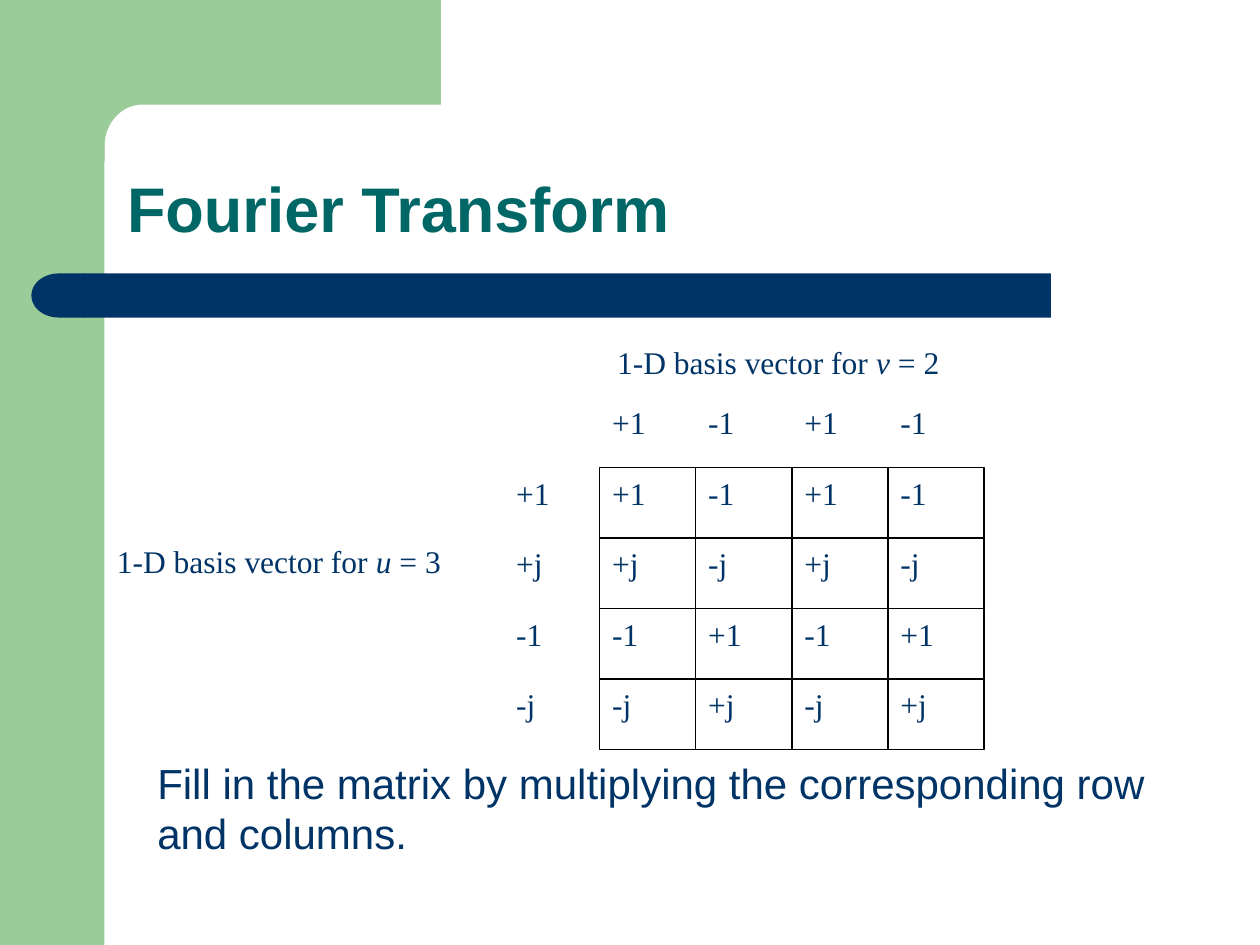
from math import cos, pi, sin

from pptx import Presentation
from pptx.dml.color import RGBColor
from pptx.enum.shapes import MSO_SHAPE as Shape
from pptx.enum.text import MSO_ANCHOR as Anchor, PP_ALIGN as Align
from pptx.util import Inches, Pt

COLORS = {"green": "99CC99", "navy": "003366", "teal": "006666", "black": "000000"}
SERIF, SANS = "Times New Roman", "Arial"
POWERS = ["+1", "+j", "-1", "-j"]  # j to the power 0, 1, 2, 3
ROWS = [0, 1, 2, 3]  # exponents of the basis vector for u = 3
COLS = [0, 2, 0, 2]  # exponents of the basis vector for v = 2


def color(name):
    return RGBColor.from_string(COLORS[name])


def paint(shape, name):
    shape.shadow.inherit = False
    shape.fill.solid()
    shape.fill.fore_color.rgb = color(name)
    shape.line.fill.background()
    return shape


def add_block(slide, kind, box, name):
    return paint(slide.shapes.add_shape(kind, *map(Inches, box)), name)


def write(shape, lines, size=18, face=SERIF, tint="navy", anchor=Anchor.TOP):
    """Set the lines, each a list of runs; every second run is italic."""
    frame = shape.text_frame
    frame.word_wrap = True
    frame.vertical_anchor = anchor
    for i, parts in enumerate(lines):
        para = frame.paragraphs[0] if i == 0 else frame.add_paragraph()
        para.alignment = Align.LEFT
        for k, part in enumerate(parts):
            run = para.add_run()
            run.text = part
            font = run.font
            font.size, font.name = Pt(size), face
            font.color.rgb = color(tint)
            font.italic = k % 2 == 1
    return frame


def add_text(slide, box, lines, **style):
    return write(slide.shapes.add_textbox(*map(Inches, box)), lines, **style)


def add_corner(slide, box):
    """Draw the top band, with a rounded inner corner at its lower left."""
    left, top, width, height = box
    right, low = left + width, top + height
    edge, base = left + 0.33, top + 0.83
    rx, ry, steps = 0.3, 0.33, 16
    turns = [pi / 2 * i / steps for i in range(steps + 1)]
    arc = [(edge + rx - rx * sin(t), base + ry - ry * cos(t)) for t in turns]
    points = [(right, base), *arc, (edge, low), (left, low), (left, top)]
    pen = slide.shapes.build_freeform(Inches(right), Inches(top))
    pen.add_line_segments([(Inches(x), Inches(y)) for x, y in points])
    paint(pen.convert_to_shape(), "green")


def add_bar(slide, box):
    left, top, width, height = box
    cap = 0.42
    body = (left + cap, top, width - cap, height)
    bar = add_block(slide, Shape.ROUNDED_RECTANGLE, body, "navy")
    bar.adjustments[0] = 0
    end = add_block(slide, Shape.FLOWCHART_DELAY, (left, top, 0.43, height), "navy")
    end._element.spPr.xfrm.set("flipH", "1")


def add_matrix(slide, box):
    """Place the products in a grid, with its row and column vectors outside."""
    left, top, width, height = box
    wide, high = width / len(COLS), height / len(ROWS)

    def spot(row, col):
        return left + col * wide, top + row * high, wide, high

    for r, up in enumerate(ROWS):
        for c, vp in enumerate(COLS):
            cell = slide.shapes.add_shape(Shape.RECTANGLE, *map(Inches, spot(r, c)))
            cell.shadow.inherit = False
            cell.fill.background()
            cell.line.color.rgb = color("black")
            cell.line.width = Pt(0.75)
            write(cell, [[POWERS[(up + vp) % 4]]])
    for r, up in enumerate(ROWS):
        add_text(slide, spot(r, -1), [[POWERS[up]]])
    for c, vp in enumerate(COLS):
        add_text(slide, spot(-1, c), [[POWERS[vp]]])
    for dx, dy, name, value in [(0.04, -1.04, "v", 2), (-3.93, 0.54, "u", 3)]:
        caption = ["1-D basis vector for ", name, f" = {value}"]
        add_text(slide, (left + dx, top + dy, 3.17, 0.37), [caption])


def add_title(slide, box):
    frame = add_text(slide, box, [["Fourier Transform"]], size=36, face=SANS,
                     tint="teal", anchor=Anchor.BOTTOM)
    para = frame.paragraphs[0]
    para.line_spacing = 0.9
    para.runs[0].font.bold = True


def main():
    deck = Presentation()
    deck.slide_width, deck.slide_height = Inches(10), Inches(7.5)
    slide = deck.slides.add_slide(deck.slide_layouts[6])
    add_block(slide, Shape.RECTANGLE, (0, 0, 0.83, 7.5), "green")
    add_corner(slide, (0.5, 0, 3, 1.28))
    add_bar(slide, (0.25, 2.17, 8.09, 0.35))
    add_title(slide, (0.91, 0.91, 8.51, 1.09))
    add_matrix(slide, (4.76, 3.71, 3.05, 2.24))
    note = [["Fill in the matrix by multiplying the corresponding row"],
            ["and columns."]]
    add_text(slide, (1.15, 5.96, 8.14, 1.3), note, size=24, face=SANS)
    deck.save("out.pptx")


if __name__ == "__main__":
    main()
